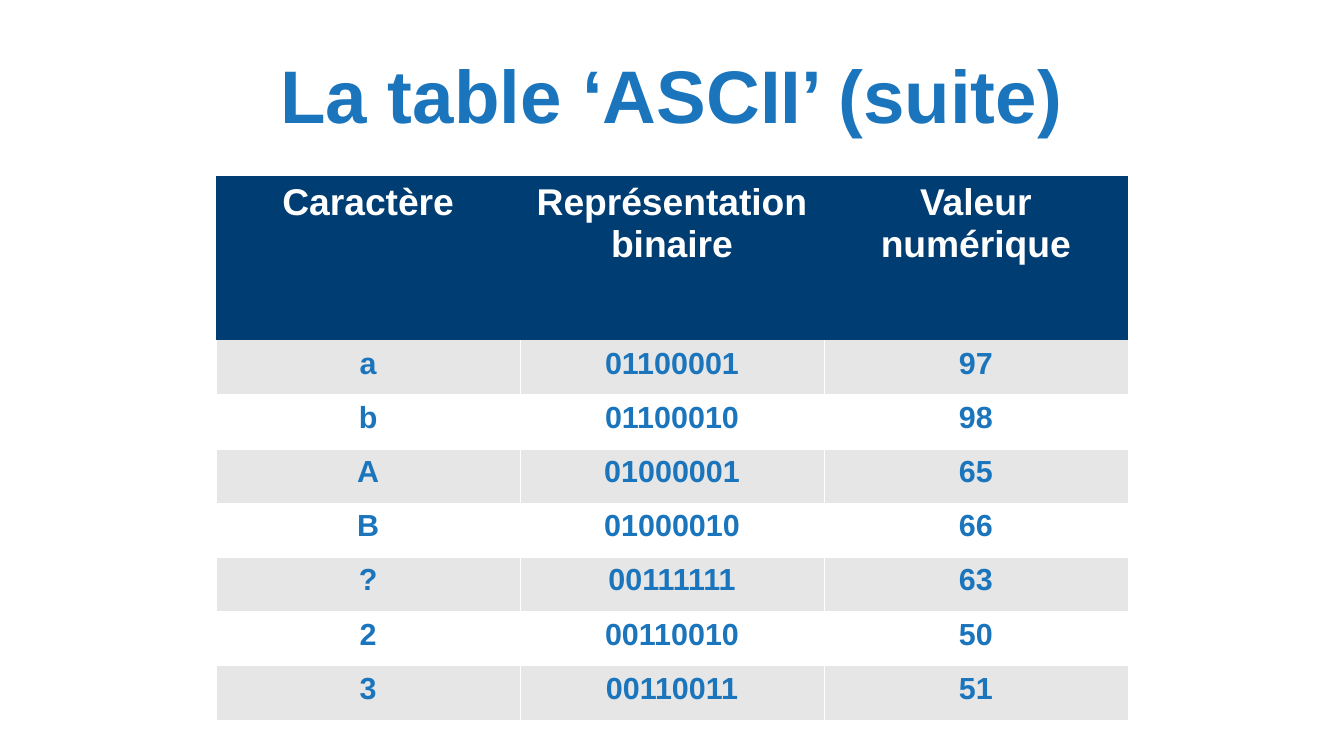
import pptx
import pptx.util
import pptx.dml.color
import pptx.enum.text
import pptx.oxml
import pptx.oxml.ns

Cm, Pt = pptx.util.Cm, pptx.util.Pt
RGB = pptx.dml.color.RGBColor
CENTER = pptx.enum.text.PP_ALIGN.CENTER
MIDDLE = pptx.enum.text.MSO_ANCHOR.MIDDLE

TITLE = "La table ‘ASCII’ (suite)"
HEAD = ("Caractère", "Représentation\vbinaire", "Valeur\vnumérique")
ROWS = [
    ("a", "01100001", "97"),
    ("b", "01100010", "98"),
    ("A", "01000001", "65"),
    ("B", "01000010", "66"),
    ("?", "00111111", "63"),
    ("2", "00110010", "50"),
    ("3", "00110011", "51"),
]

BLUE = RGB(0x1B, 0x75, 0xBC)
NAVY = RGB(0x00, 0x3D, 0x73)
GRAY = RGB(0xE6, 0xE6, 0xE6)
WHITE = RGB(0xFF, 0xFF, 0xFF)

WIDE, HIGH = Cm(28), Cm(15.75)
COL, TOP, HEAD_H, ROW_H = Cm(6.33), Cm(3.66), Cm(3.43), Cm(1.13)
LINE = Pt(0.06)
PLAIN = "{2D5ABB26-0587-4C30-8999-92F81FD0307C}"  # table style without lines or fills


def write(frame, text, size, color):
    frame.text = text
    para = frame.paragraphs[0]
    para.alignment = CENTER
    style = {"name": "Arial", "size": Pt(size), "bold": True}
    for run in para.runs:
        for key, value in style.items():
            setattr(run.font, key, value)
        run.font.color.rgb = color


def edge(cell, sides):
    """Draw thin white lines on the given sides, in L, R, T, B order."""
    props = cell._tc.get_or_add_tcPr()
    for index, side in enumerate(sides):
        props.insert(index, pptx.oxml.parse_xml(
            f'<a:ln{side} {pptx.oxml.ns.nsdecls("a")} w="{LINE}"><a:solidFill>'
            f'<a:srgbClr val="{WHITE}"/></a:solidFill></a:ln{side}>'))


def add_title(slide):
    left = Cm(1.4)
    frame = slide.shapes.add_textbox(left, Cm(0.64), WIDE - 2 * left, Cm(2.64)).text_frame
    form = {"word_wrap": True, "vertical_anchor": MIDDLE, "margin_left": 0,
            "margin_right": 0, "margin_top": 0, "margin_bottom": 0}
    for key, value in form.items():
        setattr(frame, key, value)
    write(frame, TITLE, 44, BLUE)


def add_grid(slide):
    lines = [HEAD] + ROWS
    width = COL * len(HEAD)
    frame = slide.shapes.add_table(len(lines), len(HEAD), (WIDE - width) // 2, TOP,
                                   width, HEAD_H + ROW_H * len(ROWS))
    table = frame.table
    table._tbl.tblPr.find(pptx.oxml.ns.qn("a:tableStyleId")).text = PLAIN
    for col in table.columns:
        col.width = COL
    for r, line in enumerate(lines):
        table.rows[r].height = ROW_H if r else HEAD_H
        for c, text in enumerate(line):
            cell = table.cell(r, c)
            cell.fill.solid()
            if r == 0:
                cell.fill.fore_color.rgb = NAVY
                write(cell.text_frame, text, 22, WHITE)
            else:
                cell.fill.fore_color.rgb = GRAY if r % 2 else WHITE
                write(cell.text_frame, text, 18, BLUE)
                edge(cell, "LRB" if r == 1 else "LRTB")


def main():
    deck = pptx.Presentation()
    deck.slide_width, deck.slide_height = WIDE, HIGH
    slide = deck.slides.add_slide(deck.slide_layouts[6])
    add_title(slide)
    add_grid(slide)
    deck.save("out.pptx")


if __name__ == "__main__":
    main()
